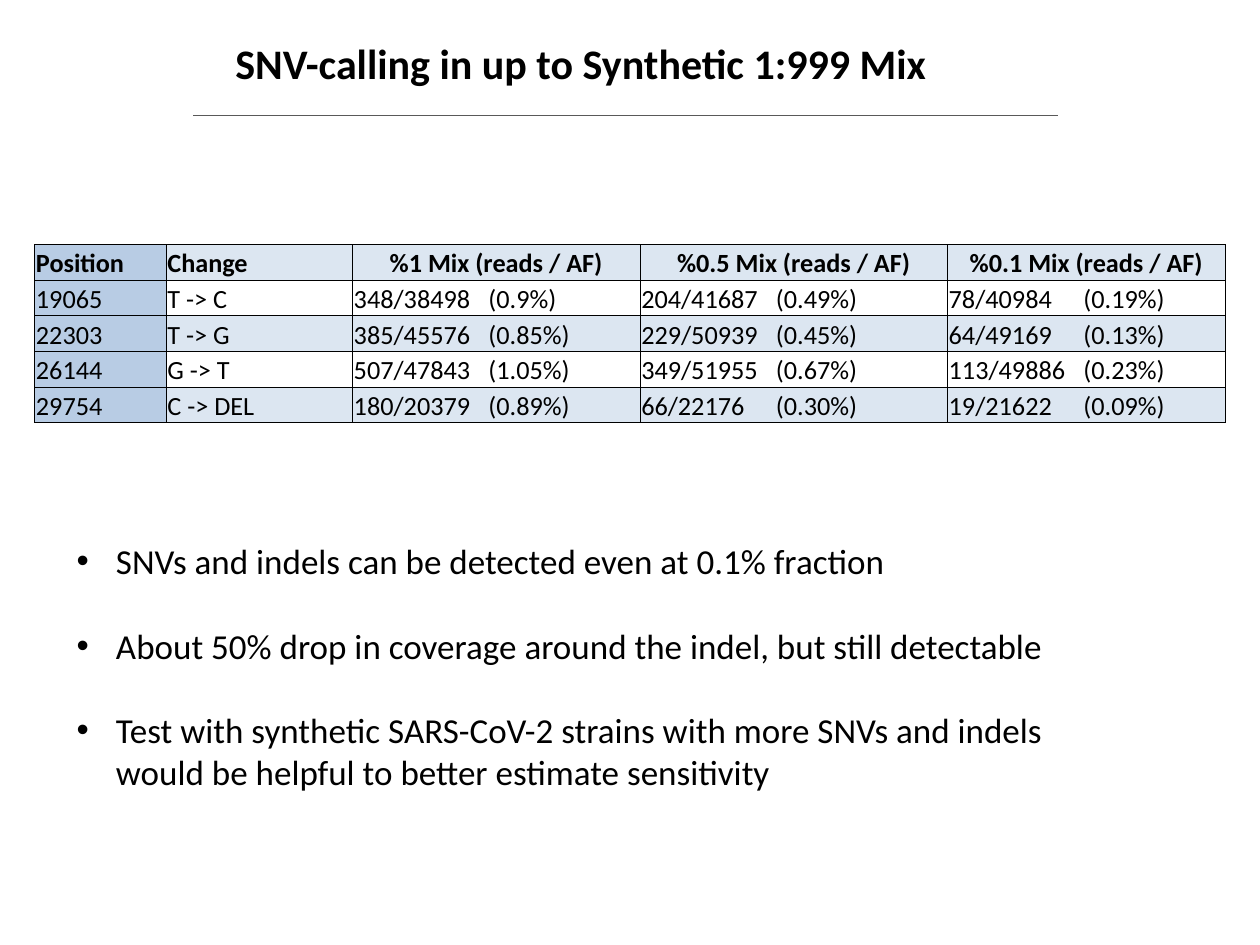
import dataclasses

import lxml.etree
import pptx
import pptx.dml.color
import pptx.enum.shapes
import pptx.enum.text
import pptx.oxml.ns
import pptx.util

Pt = pptx.util.Pt
qn = pptx.oxml.ns.qn
ALIGN = pptx.enum.text.PP_ALIGN


@dataclasses.dataclass(frozen=True)
class Theme:
    font: str = "Calibri"
    text: str = "000000"
    rule: str = "595959"
    border: str = "000000"
    key_fill: str = "B8CCE4"
    band_fill: str = "DCE6F1"
    title_size: float = 24
    table_size: float = 15
    bullet_size: float = 20
    hairline: float = 0.5


THEME = Theme()

HEADERS = ["Position", "Change", "%1 Mix (reads / AF)",
           "%0.5 Mix (reads / AF)", "%0.1 Mix (reads / AF)"]
# Reads and allele frequency are separated by a tab.
CALLS = [
    ["19065", "T -> C", "348/38498\t(0.9%)", "204/41687\t(0.49%)", "78/40984\t(0.19%)"],
    ["22303", "T -> G", "385/45576\t(0.85%)", "229/50939\t(0.45%)", "64/49169\t(0.13%)"],
    ["26144", "G -> T", "507/47843\t(1.05%)", "349/51955\t(0.67%)", "113/49886\t(0.23%)"],
    ["29754", "C -> DEL", "180/20379\t(0.89%)", "66/22176\t(0.30%)", "19/21622\t(0.09%)"],
]
COLUMN_WIDTHS = [75.1, 106.5, 164.3, 175.7, 158.7]
ROW_HEIGHT = 20.4
AF_TAB = 77

FINDINGS = [
    "SNVs and indels can be detected even at 0.1% fraction",
    "About 50% drop in coverage around the indel, but still detectable",
    "Test with synthetic SARS-CoV-2 strains with more SNVs and indels "
    "would be helpful to better estimate sensitivity",
]
BULLET_INDENT = 22.5
BULLET_GAP = 24.4


def rgb(color):
    return pptx.dml.color.RGBColor.from_string(color)


def apply(target, formats):
    for name, value in formats.items():
        setattr(target, name, value)


def add_run(p, text, size, bold=False):
    r = p.add_run()
    r.text = text
    apply(r.font, {"name": THEME.font, "size": Pt(size), "bold": bold})
    r.font.color.rgb = rgb(THEME.text)


def add_text_box(slide, left, top, width, height):
    tf = slide.shapes.add_textbox(Pt(left), Pt(top), Pt(width), Pt(height)).text_frame
    apply(tf, {"word_wrap": True,
               "auto_size": pptx.enum.text.MSO_AUTO_SIZE.SHAPE_TO_FIT_TEXT})
    return tf


def add_title(slide, text):
    tf = add_text_box(slide, 127.4, 18, 436.3, 36)
    add_run(tf.paragraphs[0], text, THEME.title_size, bold=True)


def add_rule(slide, left, right, y):
    line = slide.shapes.add_connector(
        pptx.enum.shapes.MSO_CONNECTOR.STRAIGHT, Pt(left), Pt(y), Pt(right), Pt(y))
    line.line.color.rgb = rgb(THEME.rule)
    line.line.width = Pt(THEME.hairline)
    lxml.etree.SubElement(line._element.spPr, qn("a:effectLst"))


def add_borders(cell):
    tc_pr = cell._tc.get_or_add_tcPr()
    for side in ("a:lnL", "a:lnR", "a:lnT", "a:lnB"):
        ln = lxml.etree.SubElement(tc_pr, qn(side), w=str(Pt(THEME.hairline)))
        fill = lxml.etree.SubElement(ln, qn("a:solidFill"))
        lxml.etree.SubElement(fill, qn("a:srgbClr"), val=THEME.border)


def add_tab_stop(p, position):
    tabs = lxml.etree.SubElement(p._p.get_or_add_pPr(), qn("a:tabLst"))
    lxml.etree.SubElement(tabs, qn("a:tab"), pos=str(Pt(position)), algn="l")


def fill_cell(cell, text, row, col):
    apply(cell, {"margin_left": Pt(0.75), "margin_right": Pt(0.75),
                 "margin_top": Pt(0.75), "margin_bottom": 0,
                 "vertical_anchor": pptx.enum.text.MSO_ANCHOR.BOTTOM})
    add_borders(cell)
    if col == 0 or row % 2 == 0:
        cell.fill.solid()
        cell.fill.fore_color.rgb = rgb(THEME.key_fill if col == 0 else THEME.band_fill)
    else:
        cell.fill.background()
    p = cell.text_frame.paragraphs[0]
    is_header = row == 0
    if "\t" in text:
        add_tab_stop(p, AF_TAB)
    p.alignment = ALIGN.CENTER if is_header and col >= 2 else ALIGN.LEFT
    add_run(p, text, THEME.table_size, bold=is_header)


def add_call_table(slide, left, top):
    rows = [HEADERS] + CALLS
    table = slide.shapes.add_table(
        len(rows), len(HEADERS), Pt(left), Pt(top),
        Pt(sum(COLUMN_WIDTHS)), Pt(ROW_HEIGHT * len(rows))).table
    apply(table, {"first_row": False, "horz_banding": False})
    for column, width in zip(table.columns, COLUMN_WIDTHS):
        column.width = Pt(width)
    for i, values in enumerate(rows):
        table.rows[i].height = Pt(ROW_HEIGHT)
        for j, text in enumerate(values):
            fill_cell(table.cell(i, j), text, i, j)


def add_bullets(slide, items):
    tf = add_text_box(slide, 36.7, 304.6, 607, 152.6)
    for i, text in enumerate(items):
        p = tf.add_paragraph() if i else tf.paragraphs[0]
        p_pr = p._p.get_or_add_pPr()
        p_pr.set("marL", str(Pt(BULLET_INDENT)))
        p_pr.set("indent", str(-Pt(BULLET_INDENT)))
        lxml.etree.SubElement(p_pr, qn("a:buFont"), typeface="Arial")
        lxml.etree.SubElement(p_pr, qn("a:buChar"), char="•")
        if i:
            p.space_before = Pt(BULLET_GAP)
        add_run(p, text, THEME.bullet_size)


def main():
    prs = pptx.Presentation()
    apply(prs, {"slide_width": Pt(720), "slide_height": Pt(540)})
    slide = prs.slides.add_slide(prs.slide_layouts[6])
    add_title(slide, "SNV-calling in up to Synthetic 1:999 Mix")
    add_rule(slide, 110.5, 604.8, 66)
    add_call_table(slide, 19.8, 139.7)
    add_bullets(slide, FINDINGS)
    prs.save("out.pptx")


if __name__ == "__main__":
    main()
